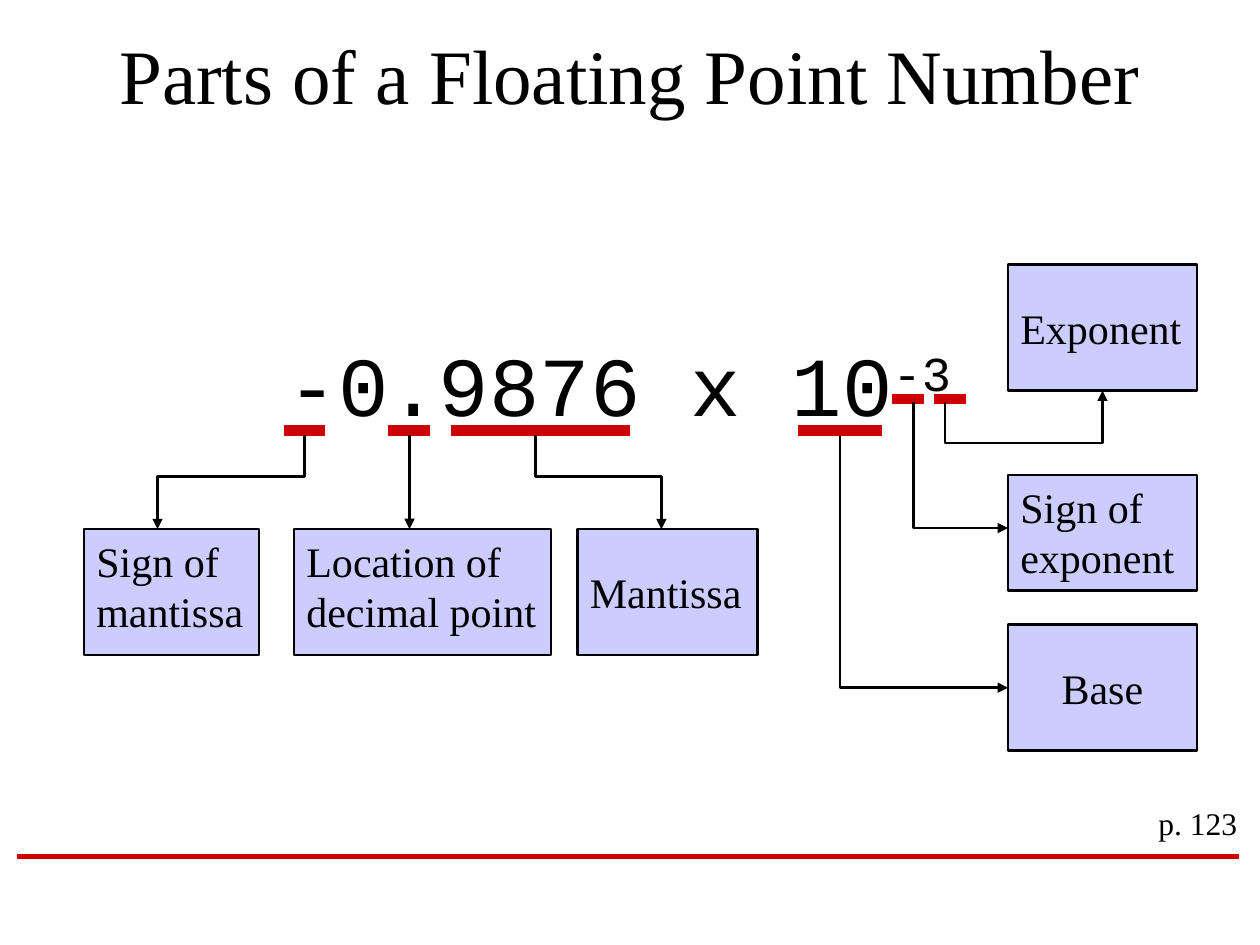
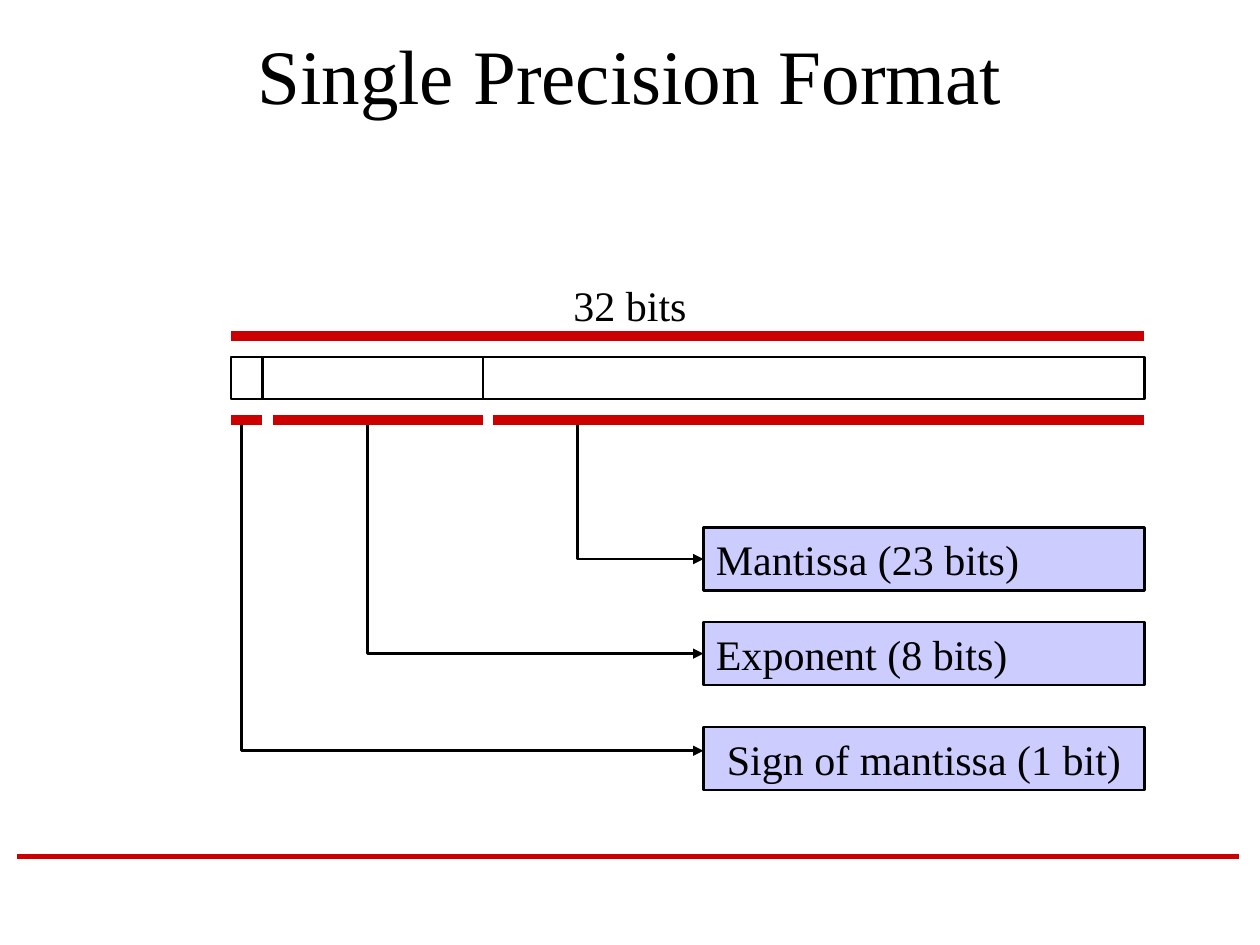
"""Build two slides on floating point numbers and the single precision format."""
from dataclasses import dataclass

from pptx import Presentation
from pptx.dml.color import RGBColor
from pptx.enum.shapes import MSO_CONNECTOR, MSO_SHAPE
from pptx.enum.text import MSO_ANCHOR, PP_ALIGN
from pptx.oxml.ns import qn
from pptx.util import Pt

LEFT, CENTER, RIGHT = PP_ALIGN.LEFT, PP_ALIGN.CENTER, PP_ALIGN.RIGHT
TOP, MIDDLE = MSO_ANCHOR.TOP, MSO_ANCHOR.MIDDLE
RECTANGLE = MSO_SHAPE.RECTANGLE
STRAIGHT = MSO_CONNECTOR.STRAIGHT


@dataclass(frozen=True)
class Theme:
    """Colours, fonts, type sizes and line widths shared by the slides."""

    ink: RGBColor = RGBColor(0x00, 0x00, 0x00)
    accent: RGBColor = RGBColor(0xCC, 0x00, 0x00)
    label_fill: RGBColor = RGBColor(0xCC, 0xCC, 0xFF)
    text_font: str = "Times New Roman"
    code_font: str = "Courier New"
    title_size: int = 44
    number_size: int = 48
    label_size: int = 24
    page_size: int = 18
    outline: float = 1.5
    footer_width: float = 3
    marker_width: float = 6


THEME = Theme()


def apply_format(target, values):
    """Set each named attribute of the target."""
    for name, value in values.items():
        setattr(target, name, value)


def add_run(paragraph, text, size, font_name=THEME.text_font):
    """Append a run in the ink colour and return it."""
    run = paragraph.add_run()
    run.text = text
    apply_format(run.font, {"name": font_name, "size": Pt(size)})
    run.font.color.rgb = THEME.ink
    return run


def write_text(shape, text, size, align=LEFT, anchor=TOP, wrap=True, font_name=THEME.text_font):
    """Fill the shape with one paragraph, breaking lines at newlines."""
    apply_format(shape.text_frame, {"word_wrap": wrap, "vertical_anchor": anchor})
    paragraph = shape.text_frame.paragraphs[0]
    paragraph.alignment = align
    for index, line in enumerate(text.split("\n")):
        if index:
            paragraph.add_line_break()
        add_run(paragraph, line, size, font_name)
    return paragraph


def add_text(slide, box, text, size, **layout):
    """Add a text box and return its paragraph."""
    shape = slide.shapes.add_textbox(*map(Pt, box))
    return write_text(shape, text, size, **layout)


def style_line(shape, color, width, arrow=False):
    """Set line colour and width, with an optional arrowhead at the end."""
    shape.line.color.rgb = color
    shape.line.width = Pt(width)
    if arrow:
        outline = shape.line._get_or_add_ln()
        tail = outline.makeelement(qn("a:tailEnd"), {"type": "triangle"})
        outline.append(tail)


def add_line(slide, start, end, color, width, arrow=False):
    """Draw a straight line between two points."""
    line = slide.shapes.add_connector(STRAIGHT, *map(Pt, (*start, *end)))
    style_line(line, color, width, arrow)
    properties = line._element.spPr
    properties.append(properties.makeelement(qn("a:effectLst"), {}))


def add_marker(slide, left, right, top):
    """Draw a thick horizontal bar that marks a part."""
    add_line(slide, (left, top), (right, top), THEME.accent, THEME.marker_width)


def add_bent_arrow(slide, *points):
    """Draw an angled arrow that ends at the last point."""
    start, *corners = [tuple(map(Pt, point)) for point in points]
    builder = slide.shapes.build_freeform(*start)
    builder.add_line_segments(corners, close=False)
    arrow = builder.convert_to_shape()
    arrow.shadow.inherit = False
    arrow.fill.background()
    style_line(arrow, THEME.ink, THEME.outline, arrow=True)


def add_box(slide, box, fill=None):
    """Add an outlined rectangle and return it."""
    shape = slide.shapes.add_shape(RECTANGLE, *map(Pt, box))
    shape.shadow.inherit = False
    style_line(shape, THEME.ink, THEME.outline)
    if fill is None:
        shape.fill.background()
    else:
        shape.fill.solid()
        shape.fill.fore_color.rgb = fill
    return shape


def add_label(slide, box, text, **layout):
    """Add a filled rectangle that names a part."""
    write_text(add_box(slide, box, THEME.label_fill), text, THEME.label_size, **layout)


def add_titled_slide(presentation, title):
    """Add a blank slide with the shared title and footer rule."""
    slide = presentation.slides.add_slide(presentation.slide_layouts[6])
    add_line(slide, (10, 489.6), (708, 489.6), THEME.accent, THEME.footer_width)
    add_text(slide, (54, 12, 612, 60), title, THEME.title_size, align=CENTER, anchor=MIDDLE)
    return slide


def build_parts_slide(presentation):
    """Name the parts of a floating point number."""
    slide = add_titled_slide(presentation, "Parts of a Floating Point Number")
    number = add_text(slide, (48, 186.5, 612, 66), "-0.9876 x 10", THEME.number_size,
                      align=CENTER, font_name=THEME.code_font)
    exponent = add_run(number, "-3", THEME.number_size, THEME.code_font)
    exponent.font._element.set("baseline", "30000")
    add_text(slide, (630, 456, 84, 28.8), "p. 123", THEME.page_size, align=RIGHT)

    for left, right in ((162, 186), (222, 246), (258, 360), (456, 504)):
        add_marker(slide, left, right, 246)
    for left in (510, 534):
        add_marker(slide, left, left + 18, 228)

    row_top, column_left = 302.4, 576
    for left, width, text, anchor in (
        (48, 100, "Sign of\nmantissa", TOP),
        (168, 147, "Location of\ndecimal point", TOP),
        (330, 103, "Mantissa", MIDDLE),
    ):
        add_label(slide, (left, row_top, width, 72), text, anchor=anchor, wrap=False)
    for top, height, text, anchor, align in (
        (151.2, 72, "Exponent", MIDDLE, LEFT),
        (271.4, 66, "Sign of\nexponent", TOP, LEFT),
        (357, 72, "Base", MIDDLE, CENTER),
    ):
        add_label(slide, (column_left, top, 108, height), text,
                  anchor=anchor, align=align, wrap=False)

    for start, end in ((174, 90), (306, 378)):
        add_bent_arrow(slide, (start, 248.4), (start, 272.4), (end, 272.4), (end, row_top))
    add_line(slide, (234, 248.4), (234, row_top), THEME.ink, THEME.outline, arrow=True)
    for left, top, bottom in ((480, 249, 393), (522, 229.8, 301.8)):
        add_bent_arrow(slide, (left, top), (left, bottom), (column_left, bottom))
    add_bent_arrow(slide, (540, 229.8), (540, 253.2), (630, 253.2), (630, 223.2))


def build_format_slide(presentation):
    """Show how the 32 bits are shared out."""
    slide = add_titled_slide(presentation, "Single Precision Format")
    left, right, label_left = 132, 654, 402
    cell_left = left
    for width in (18, 126, 378):
        add_box(slide, (cell_left, 204, width, 24))
        cell_left += width

    add_marker(slide, left, right, 192)
    add_text(slide, (270, 156, 180, 36), "32 bits", THEME.label_size, align=CENTER)

    for text, top, align, arrow_left, arrow_bottom in (
        ("Mantissa (23 bits)", 301.5, LEFT, 330, 319.5),
        ("Exponent (8 bits)", 355.5, LEFT, 210, 373.5),
        ("Sign of mantissa (1 bit)", 415.5, CENTER, 138, 429),
    ):
        add_label(slide, (label_left, top, right - label_left, 36), text, align=align)
        add_bent_arrow(slide, (arrow_left, 242), (arrow_left, arrow_bottom),
                       (label_left, arrow_bottom))

    for marker_left, marker_right in ((282, right), (156, 276), (left, 150)):
        add_marker(slide, marker_left, marker_right, 240)


def main():
    """Build and save the presentation."""
    presentation = Presentation()
    apply_format(presentation, {"slide_width": Pt(720), "slide_height": Pt(540)})
    build_parts_slide(presentation)
    build_format_slide(presentation)
    presentation.save("out.pptx")


if __name__ == "__main__":
    main()
